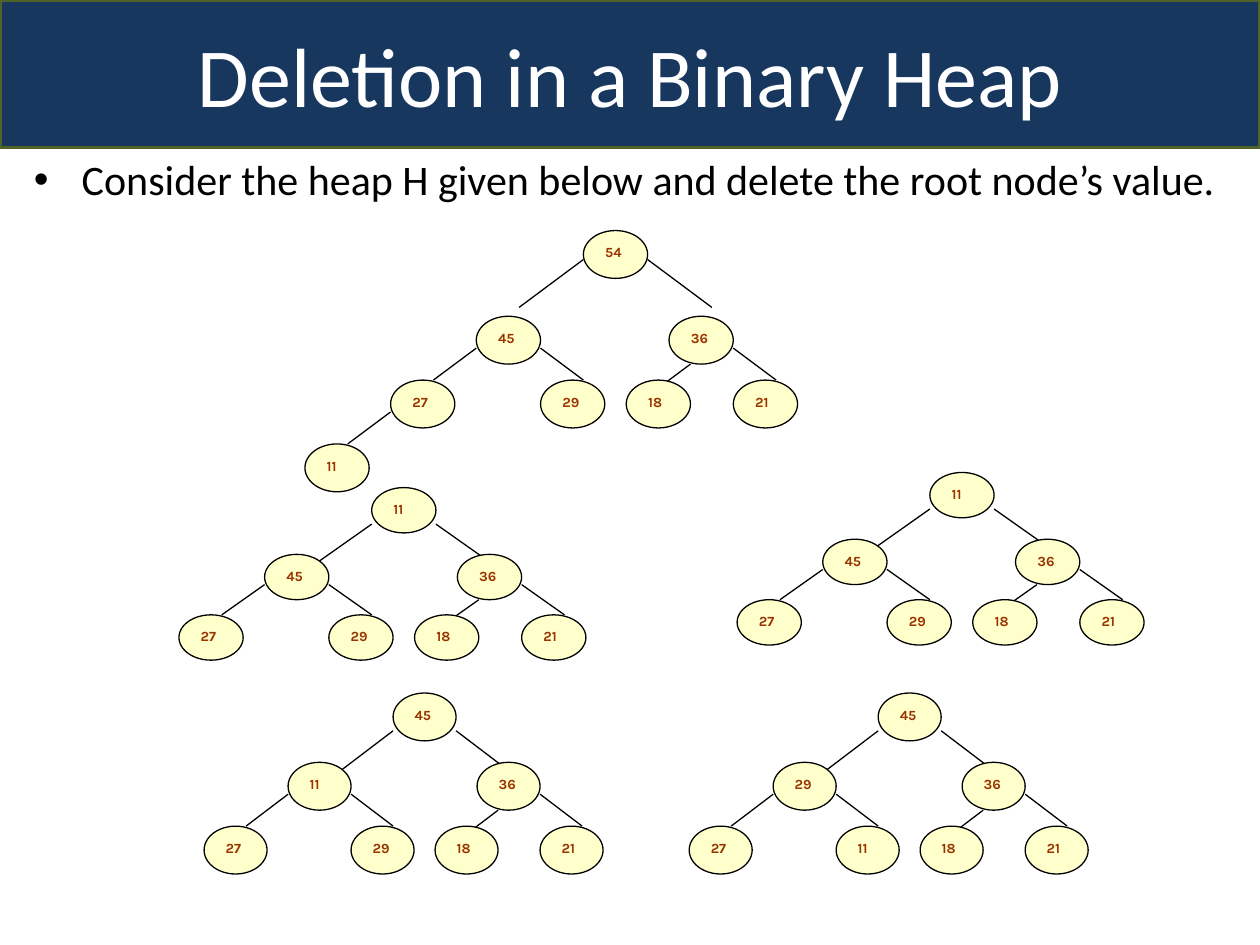
from dataclasses import dataclass

from lxml import etree
from pptx import Presentation
from pptx.dml.color import RGBColor
from pptx.enum.shapes import MSO_CONNECTOR, MSO_SHAPE
from pptx.enum.text import MSO_ANCHOR, PP_ALIGN
from pptx.oxml.ns import qn
from pptx.util import Inches, Pt

NAVY = RGBColor(0x17, 0x37, 0x5E)
OLIVE = RGBColor(0x4F, 0x62, 0x28)
CREAM = RGBColor(0xFF, 0xFF, 0xCC)
BROWN = RGBColor(0x99, 0x33, 0x00)
BLACK = RGBColor(0, 0, 0)
WHITE = RGBColor(0xFF, 0xFF, 0xFF)
STRAIGHT = MSO_CONNECTOR.STRAIGHT
OVAL = MSO_SHAPE.OVAL
ROUNDED = MSO_SHAPE.ROUNDED_RECTANGLE
TOP, MIDDLE = MSO_ANCHOR.TOP, MSO_ANCHOR.MIDDLE
LEFT, CENTER = PP_ALIGN.LEFT, PP_ALIGN.CENTER

# Tree layout in thirds of a node, in level order. Columns count from the
# root's left edge, rows from the top of the second level.
CHILD_CELLS = [(-5, 0), (4, 0), (-9, 4), (-2, 4), (2, 4), (7, 4), (-13, 8)]
# Each edge starts here and runs two thirds down, and two sideways.
EDGE_STARTS = [(-5, 2, -1), (-2, 2, 1), (5, 3, -1), (7, 2, 1), (-9, 6, -1)]


@dataclass(frozen=True)
class Heap:
    values: tuple[int, ...]
    left: float  # root node
    top: float
    second_level: float
    root_edge_top: float
    node_width: float
    node_height: float


HEAPS = [
    Heap((54, 45, 36, 27, 29, 18, 21, 11), 4.63, 1.83, 2.51, 2.06, 0.51, 0.38),
    Heap((11, 45, 36, 27, 29, 18, 21), 7.38, 3.75, 4.28, 4.04, 0.51, 0.36),
    Heap((11, 45, 36, 27, 29, 18, 21), 2.95, 3.87, 4.4, 4.16, 0.51, 0.36),
    Heap((45, 11, 36, 27, 29, 18, 21), 3.12, 5.5, 6.05, 5.8, 0.5, 0.38),
    Heap((45, 29, 36, 27, 11, 18, 21), 6.97, 5.5, 6.05, 5.8, 0.5, 0.38),
]


def add_edge(slide, x1: float, y1: float, x2: float, y2: float) -> None:
    edge = slide.shapes.add_connector(
        STRAIGHT, Inches(x1), Inches(y1), Inches(x2), Inches(y2))
    edge.line.color.rgb = BLACK
    edge.line.width = Pt(0.75)
    etree.SubElement(edge._element.spPr, qn("a:effectLst"))


def add_node(slide, value: int, left: float, top: float, heap: Heap) -> None:
    node = slide.shapes.add_shape(
        OVAL, Inches(left), Inches(top),
        Inches(heap.node_width), Inches(heap.node_height))
    node.shadow.inherit = False
    node.fill.solid()
    node.fill.fore_color.rgb = CREAM
    node.line.color.rgb = BLACK
    node.line.width = Pt(0.75)
    node.text_frame.vertical_anchor = TOP
    paragraph = node.text_frame.paragraphs[0]
    paragraph.text = str(value)
    paragraph.alignment = LEFT
    paragraph.font.name = "Karla"
    paragraph.font.size = Pt(8)
    paragraph.font.bold = True
    paragraph.font.color.rgb = BROWN


def add_heap(slide, heap: Heap) -> None:
    """Draw the edges first, so that the nodes cover their ends."""
    step_x, step_y = heap.node_width / 3, heap.node_height / 3

    for column, side in ((0, -1), (3, 1)):
        x = heap.left + column * step_x
        add_edge(slide, x, heap.root_edge_top,
                 x + side * 3 * step_x, heap.root_edge_top + 3 * step_y)
    # Every third-level or deeper node has one edge.
    for column, row, side in EDGE_STARTS[:len(heap.values) - 3]:
        x = heap.left + column * step_x
        y = heap.second_level + row * step_y
        add_edge(slide, x, y, x + side * 2 * step_x, y + 2 * step_y)

    add_node(slide, heap.values[0], heap.left, heap.top, heap)
    for value, (column, row) in zip(heap.values[1:], CHILD_CELLS):
        add_node(slide, value, heap.left + column * step_x,
                 heap.second_level + row * step_y, heap)


def add_title(slide, text: str) -> None:
    banner = slide.shapes.add_shape(ROUNDED, 0, 0, Inches(10), Inches(1.17))
    banner.adjustments[0] = 0
    banner.shadow.inherit = False
    banner.fill.solid()
    banner.fill.fore_color.rgb = NAVY
    banner.line.color.rgb = OLIVE
    banner.line.width = Pt(2)
    banner.text_frame.vertical_anchor = MIDDLE
    paragraph = banner.text_frame.paragraphs[0]
    paragraph.text = text
    paragraph.alignment = CENTER
    paragraph.font.name = "Calibri"
    paragraph.font.size = Pt(48)
    paragraph.font.color.rgb = WHITE


def add_bullet(slide, text: str) -> None:
    box = slide.shapes.add_textbox(
        Inches(0.17), Inches(1.25), Inches(9.58), Inches(0.42))
    box.text_frame.word_wrap = True
    paragraph = box.text_frame.paragraphs[0]
    paragraph.text = text
    paragraph.line_spacing = 0.8
    properties = paragraph._p.get_or_add_pPr()
    properties.set("marL", str(Inches(0.38)))
    properties.set("indent", str(Inches(-0.38)))
    etree.SubElement(properties, qn("a:buFont"), typeface="Arial")
    etree.SubElement(properties, qn("a:buChar"), char="•")
    paragraph.font.name = "Calibri"
    paragraph.font.size = Pt(24)
    paragraph.font.color.rgb = BLACK


def main() -> None:
    presentation = Presentation()
    presentation.slide_width = Inches(10)
    presentation.slide_height = Inches(7.5)
    slide = presentation.slides.add_slide(presentation.slide_layouts[6])
    add_title(slide, "Deletion in a Binary Heap")
    for heap in HEAPS:
        add_heap(slide, heap)
    add_bullet(slide, "Consider the heap H given below and delete the root node’s value.")
    presentation.save("out.pptx")


if __name__ == "__main__":
    main()
